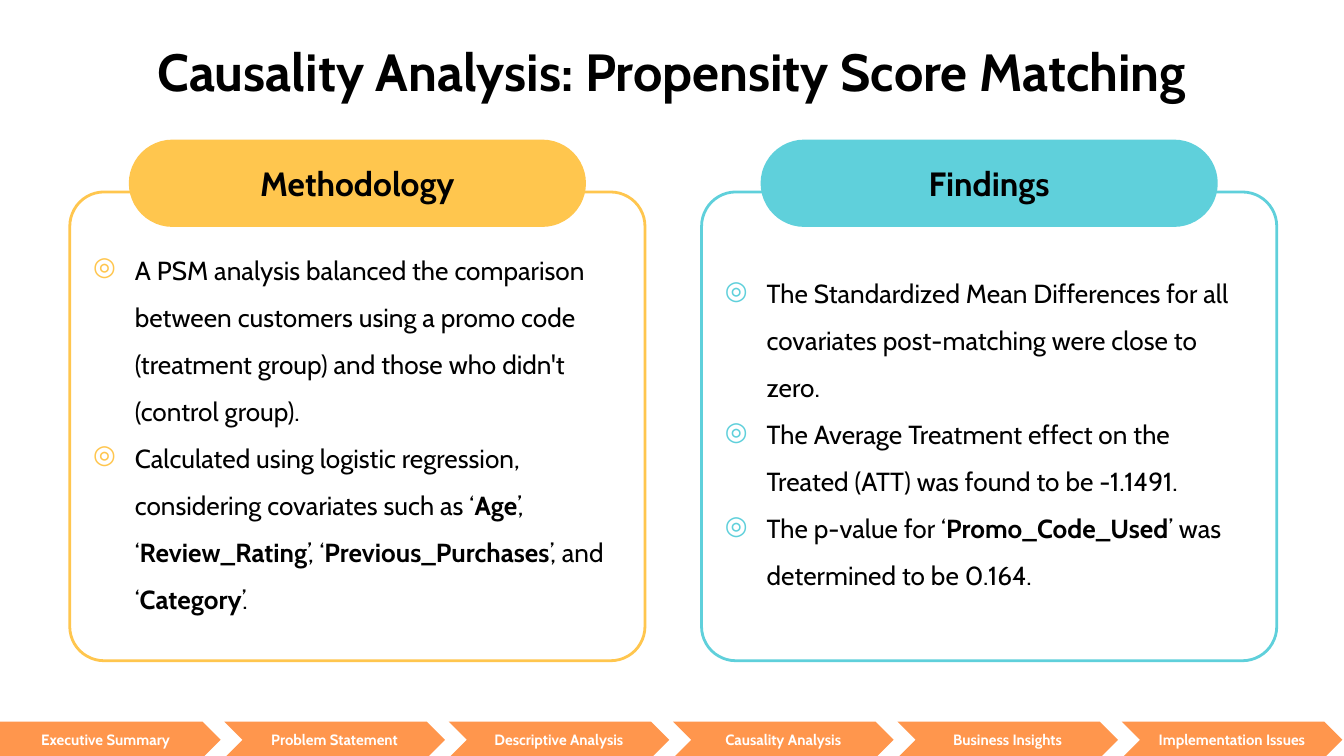
from lxml import etree
from pptx import Presentation
from pptx import util as u
from pptx.dml.color import RGBColor
from pptx.enum import shapes, text
from pptx.oxml.ns import qn

Cm, Pt = u.Cm, u.Pt
FONT = "Cabin"
BLACK, WHITE, ORANGE = "000000", "FFFFFF", "FF964D"
YELLOW, TEAL = "FFC64E", "5FD0DB"


def add_block(slide, kind, box, fill, line=None, adjustment=0.5):
    shape = slide.shapes.add_shape(kind, *[Cm(value) for value in box])
    shape.adjustments[0] = adjustment
    shape.shadow.inherit = False
    shape.fill.solid()
    shape.fill.fore_color.rgb = RGBColor.from_string(fill)
    if line:
        shape.line.color.rgb = RGBColor.from_string(line)
        shape.line.width = Pt(1.5)
    else:
        shape.line.fill.background()
    return shape


def write_text(shape, paragraphs, size, color=BLACK, bold=True, bullet=None):
    """Fill a shape with text; ** toggles bold, bullet is the marker's colour."""
    frame = shape.text_frame
    frame_format = {"word_wrap": True, "auto_size": text.MSO_AUTO_SIZE.NONE,
                    "vertical_anchor": text.MSO_ANCHOR.MIDDLE}
    for side in ("left", "top", "right", "bottom"):
        frame_format[f"margin_{side}"] = Cm(0.25)
    for name, value in frame_format.items():
        setattr(frame, name, value)
    for index, content in enumerate(paragraphs):
        paragraph = frame.add_paragraph() if index else frame.paragraphs[0]
        paragraph.alignment = text.PP_ALIGN.LEFT if bullet else text.PP_ALIGN.CENTER
        paragraph.line_spacing = 1.5 if bullet else 1.0
        paragraph.space_before = Pt(0)
        if bullet:
            properties = paragraph._p.get_or_add_pPr()
            properties.set("marL", str(Cm(0.79)))
            properties.set("indent", str(-Cm(0.79)))
            bullet_color = etree.SubElement(properties, qn("a:buClr"))
            etree.SubElement(bullet_color, qn("a:srgbClr"), val=bullet)
            etree.SubElement(properties, qn("a:buChar"), char="◎")
        for part, words in enumerate(content.split("**")):
            run = paragraph.add_run()
            run.text = words
            run_format = {"name": FONT, "size": Pt(size), "bold": bold or part % 2 == 1}
            for name, value in run_format.items():
                setattr(run.font, name, value)
            run.font.color.rgb = RGBColor.from_string(color)


presentation = Presentation()
presentation.slide_width, presentation.slide_height = Cm(25.4), Cm(14.29)
slide = presentation.slides.add_slide(presentation.slide_layouts[5])

# Title
title = slide.shapes.title
title_box = {"left": 0.51, "top": 0.66, "width": 24.36, "height": 1.35}
for name, value in title_box.items():
    setattr(title, name, Cm(value))
write_text(title, ["Causality Analysis: Propensity Score Matching"], 28)

# Two cards, each with a heading pill over its top edge
cards = [
    (1.32, YELLOW, "Methodology", [
        "A PSM analysis balanced the comparison between customers using a promo code "
        "(treatment group) and those who didn't (control group).",
        "Calculated using logistic regression, considering covariates such as ‘**Age**’, "
        "‘**Review_Rating**’, ‘**Previous_Purchases**’, and ‘**Category**’.",
    ]),
    (13.26, TEAL, "Findings", [
        "The Standardized Mean Differences for all covariates post-matching were close to zero.",
        "The Average Treatment effect on the Treated (ATT) was found to be -1.1491.",
        "The p-value for ‘**Promo_Code_Used**’ was determined to be 0.164.",
    ]),
]
card_width, pill_width = 10.87, 8.64
rounded = shapes.MSO_SHAPE.ROUNDED_RECTANGLE
for left, color, heading, points in cards:
    card = add_block(slide, rounded, (left, 3.63, card_width, 8.86), WHITE, color, 0.073)
    write_text(card, points, 14, bold=False, bullet=color)
    pill_left = left + (card_width - pill_width) / 2
    pill = add_block(slide, rounded, (pill_left, 2.64, pill_width, 1.65), color)
    write_text(pill, [heading], 18)

# Section arrows along the bottom edge
sections = ["Executive Summary", "Problem Statement", "Descriptive Analysis",
            "Causality Analysis", "Business Insights", "Implementation Issues"]
for index, section in enumerate(sections):
    kind = shapes.MSO_SHAPE.CHEVRON if index else shapes.MSO_SHAPE.PENTAGON
    arrow = add_block(slide, kind, (4.24 * index, 13.64, 4.17, 0.69), ORANGE)
    write_text(arrow, [section], 8, WHITE)

presentation.save("out.pptx")
